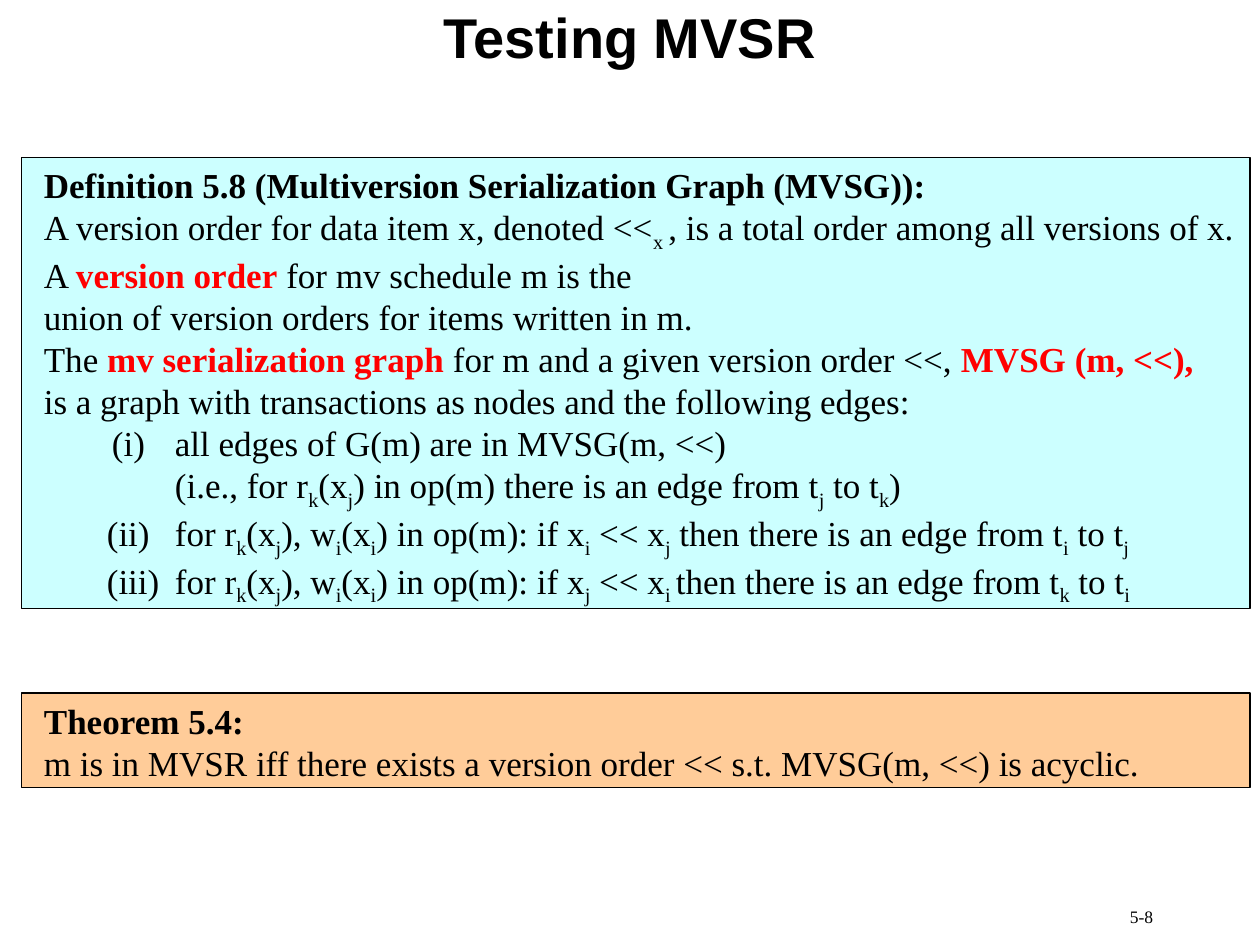
from lxml import etree
from pptx import Presentation
from pptx.dml.color import RGBColor
from pptx.enum.shapes import MSO_SHAPE
from pptx.enum.text import MSO_ANCHOR, PP_ALIGN
from pptx.oxml.ns import qn
from pptx.util import Inches, Pt

RECT = MSO_SHAPE.RECTANGLE
TOP, MID = MSO_ANCHOR.TOP, MSO_ANCHOR.MIDDLE
LEFT, MIDDLE, RIGHT = PP_ALIGN.LEFT, PP_ALIGN.CENTER, PP_ALIGN.RIGHT

THEME = {
    "ink": "000000", "key": "FF0000", "theorem": "FFCC99", "define": "CCFFFF",
    "head": "Arial", "body": "Times New Roman",
    "title": 32, "text": 20, "page": 10, "line": 0.75, "sub": -25000,
}

PLAIN, BOLD, KEY, SUB = "plain", "bold", "key", "sub"


def indexed(text):
    parts = text.split("|")
    return [(part, SUB if i % 2 else PLAIN) for i, part in enumerate(parts) if part]


THEOREM = [
    (0, [("Theorem 5.4:", BOLD)]),
    (0, indexed("m is in MVSR iff there exists a version order << s.t. MVSG(m, <<) is acyclic.")),
]
DEFINE = [
    (0, [("Definition 5.8 (Multiversion Serialization Graph (MVSG)):", BOLD)]),
    (0, indexed("A version order for data item x, denoted <<|x |, is a total order among all versions of x.")),
    (0, [("A ", PLAIN), ("version order", KEY), (" for mv schedule m is the", PLAIN)]),
    (0, indexed("union of version orders for items written in m.")),
    (0, [("The ", PLAIN), ("mv serialization graph", KEY),
         (" for m and a given version order <<, ", PLAIN), ("MVSG (m, <<),", KEY)]),
    (0, indexed("is a graph with transactions as nodes and the following edges:")),
    (0, indexed("\t(i)\tall edges of G(m) are in MVSG(m, <<)")),
    (1, indexed("\t(i.e., for r|k|(x|j|) in op(m) there is an edge from t|j| to t|k|)")),
    (1, indexed("(ii)\tfor r|k|(x|j|), w|i|(x|i|) in op(m): if x|i| << x|j| then there is an edge from t|i| to t|j|")),
    (1, indexed("(iii)\tfor r|k|(x|j|), w|i|(x|i|) in op(m): if x|j| << x|i |then there is an edge from t|k| to t|i|")),
]
PANELS = [
    (THEOREM, "theorem", (0.17, 5.5, 9.75, 0.75), (0.25, 5.5, 9.75, 0.77)),
    (DEFINE, "define", (0.17, 1.25, 9.75, 3.58), (0.25, 1.25, 9.67, 3.95)),
]
HANG = 0.54
TABS = {0: range(8), 1: (0, *range(2, 9))}


def color(name):
    return RGBColor.from_string(THEME[name])


def add_run(para, text, style, font, size):
    run = para.add_run()
    run.text = text
    run.font.name = THEME[font]
    run.font.size = Pt(THEME[size])
    run.font.bold = style in (BOLD, KEY)
    run.font.color.rgb = color("key" if style == KEY else "ink")
    if style == SUB:
        run._r.get_or_add_rPr().set("baseline", str(THEME["sub"]))


def add_box(shapes, area, anchor=TOP):
    frame = shapes.add_textbox(*map(Inches, area)).text_frame
    frame.word_wrap = True
    frame.vertical_anchor = anchor
    return frame


def add_label(shapes, area, text, style, font, size, align, anchor=TOP):
    para = add_box(shapes, area, anchor).paragraphs[0]
    para.alignment = align
    add_run(para, text, style, font, size)


def set_tabs(para, level):
    props = para._p.get_or_add_pPr()
    props.set("marL", str(Inches(HANG + level * 0.5)))
    props.set("indent", str(Inches(-HANG)))
    stops = etree.SubElement(props, qn("a:tabLst"))
    for inch in TABS[level]:
        etree.SubElement(stops, qn("a:tab"), pos=str(Inches(inch)), algn="l")


def add_panel(slide, lines, fill, area, inner):
    shapes = slide.shapes.add_group_shape().shapes
    panel = shapes.add_shape(RECT, *map(Inches, area))
    panel.shadow.inherit = False
    panel.fill.solid()
    panel.fill.fore_color.rgb = color(fill)
    panel.line.color.rgb = color("ink")
    panel.line.width = Pt(THEME["line"])
    frame = add_box(shapes, inner)
    for i, (level, runs) in enumerate(lines):
        para = frame.add_paragraph() if i else frame.paragraphs[0]
        para.level = level
        para.alignment = LEFT
        set_tabs(para, level)
        for text, style in runs:
            add_run(para, text, style, "body", "text")


def main():
    deck = Presentation()
    deck.slide_width, deck.slide_height = Inches(10), Inches(7.5)
    slide = deck.slides.add_slide(deck.slide_layouts[6])
    add_label(slide.shapes, (7.17, 7.14, 2.08, 0.36), "5-8", PLAIN, "body", "page", RIGHT)
    add_label(slide.shapes, (0, 0, 10, 0.58), "Testing MVSR", BOLD, "head", "title", MIDDLE, MID)
    for panel in PANELS:
        add_panel(slide, *panel)
    deck.save("out.pptx")


if __name__ == "__main__":
    main()
